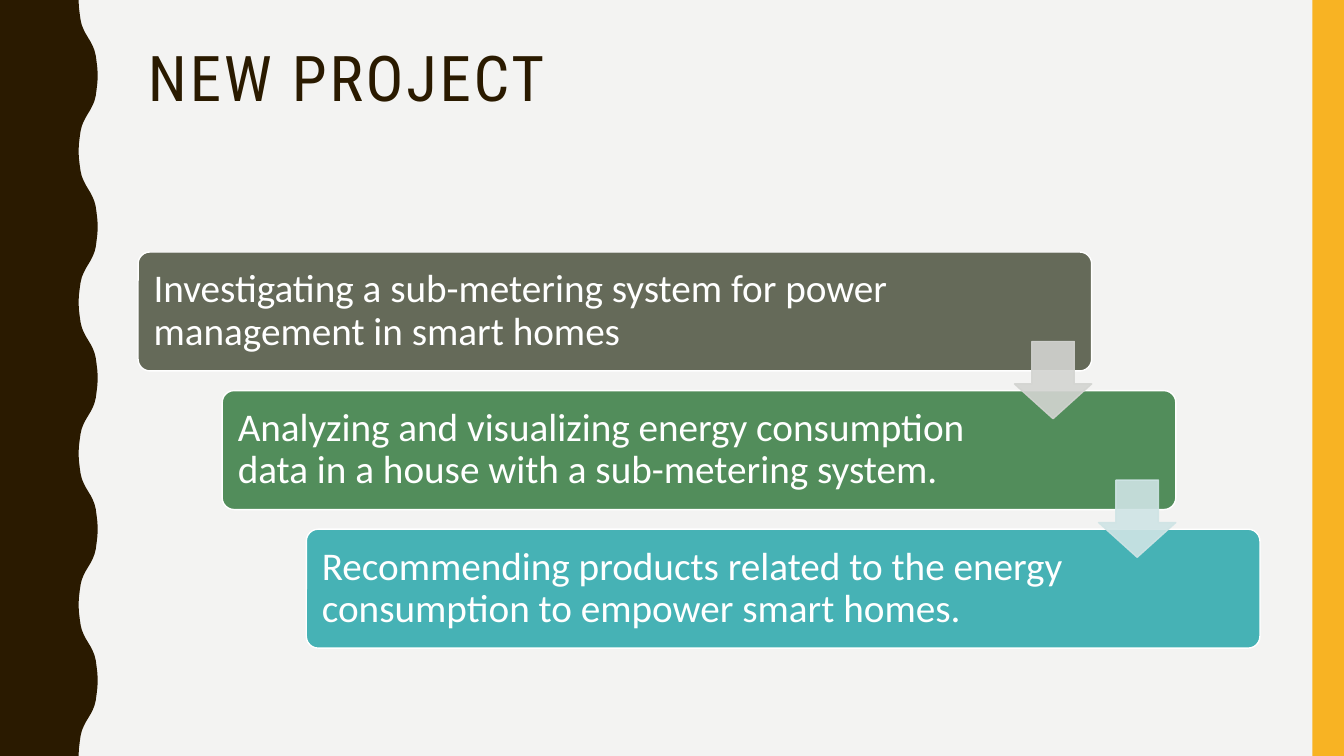
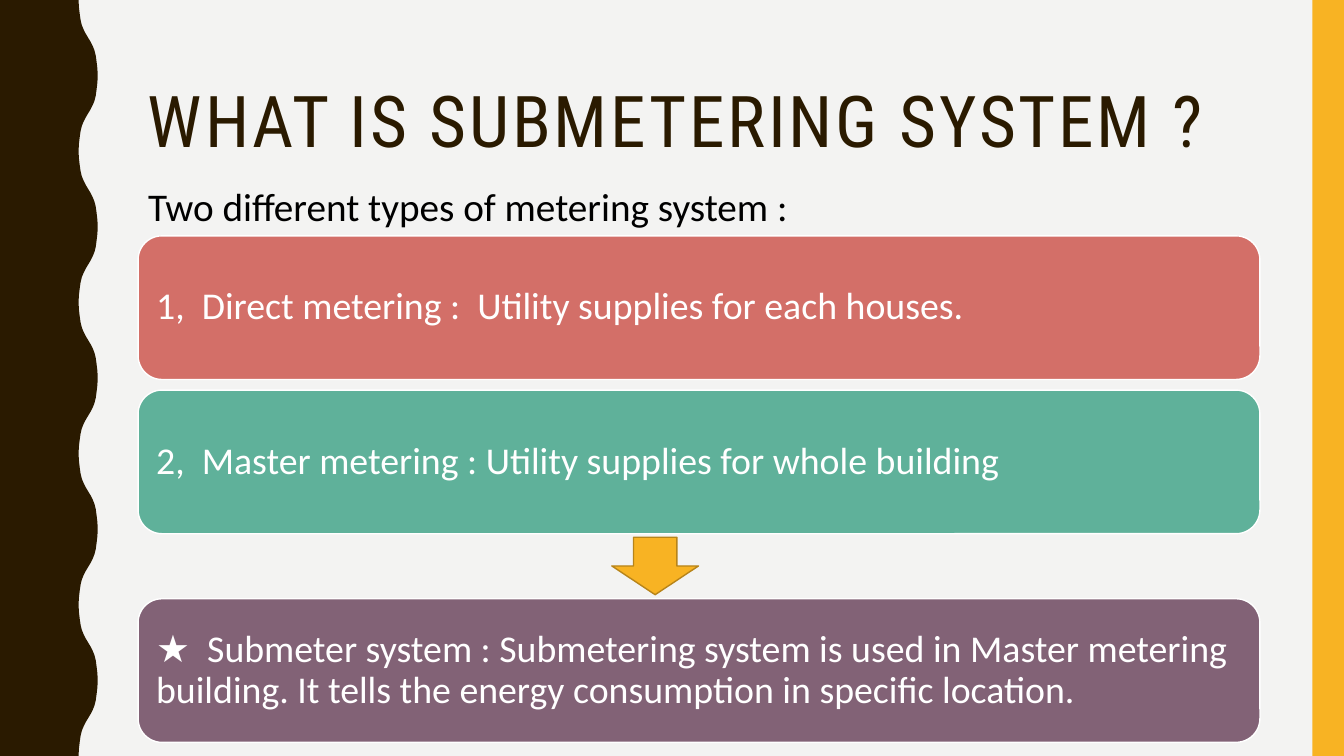
import pptx
import pptx.dml.color
import pptx.enum.shapes
import pptx.enum.text
import pptx.oxml.ns
import pptx.util
from lxml import etree

SHAPES = pptx.enum.shapes.MSO_SHAPE
ANCHOR = pptx.enum.text.MSO_ANCHOR
COLUMNS, ROWS = 160, 90
LEFT, RIGHT = 16.44, 150
CONTENT_WIDTH = RIGHT - LEFT

COLORS = {
    "background": "F3F3F2", "dark": "2A1A00", "accent": "F8B323",
    "accent_edge": "B7841A", "white": "FFFFFF", "black": "000000",
    "olive": "656A59", "green": "528D5B", "teal": "46B2B5",
    "pale_olive": "D3D4D1", "pale_teal": "CFE4E5",
    "coral": "D36F68", "mint": "5FB19A", "plum": "826276",
}


def set_attributes(target, values):
    for name, value in values.items():
        setattr(target, name, value)


def wave_edge():
    """Return (column, row) points of the wavy edge, mirrored from a quarter wave."""
    quarter = [(9.36, 0), (9.4, 0.84), (9.5, 1.68), (9.6, 2.4), (9.75, 3),
               (9.95, 3.5), (10.2, 4), (10.5, 4.5)]
    half = quarter + [(21 - x, 9 - y) for x, y in reversed(quarter[:-1])]
    wave = half + [(x, 18 - y) for x, y in reversed(half[1:-1])]
    points = [(x, y + top) for top in range(0, ROWS, 18) for x, y in wave]
    return points + [(quarter[0][0], ROWS)]


class Deck:
    """Holds the style and the current slide; lengths are grid columns and rows."""

    def __init__(self):
        self.presentation = pptx.Presentation()
        height = pptx.util.Inches(7.5)
        set_attributes(self.presentation, {
            "slide_width": height * 16 // 9, "slide_height": height})
        self.column = self.presentation.slide_width / COLUMNS
        self.row = height / ROWS
        self.slide = None

    def color(self, name):
        return pptx.dml.color.RGBColor.from_string(COLORS[name])

    def place(self, left, top, width, height):
        return [round(length * unit) for length, unit in zip(
            (left, top, width, height), (self.column, self.row) * 2)]

    def paint(self, shape, fill, line=None, opacity=100):
        shape.shadow.inherit = False
        shape.fill.solid()
        shape.fill.fore_color.rgb = self.color(fill)
        if line:
            shape.line.color.rgb = self.color(line)
            shape.line.width = pptx.util.Pt(1)
        else:
            shape.line.fill.background()
        if opacity < 100:
            for color in shape._element.spPr.iter(pptx.oxml.ns.qn("a:srgbClr")):
                alpha = etree.SubElement(color, pptx.oxml.ns.qn("a:alpha"))
                alpha.set("val", str(opacity * 1000))

    def add_text(self, shape, text, size, color, font="Calibri", spacing=0.9,
                 **frame_values):
        frame = shape.text_frame
        set_attributes(frame, {"word_wrap": True, **frame_values})
        paragraph = frame.paragraphs[0]
        set_attributes(paragraph, {
            "alignment": pptx.enum.text.PP_ALIGN.LEFT, "line_spacing": spacing})
        run = paragraph.add_run()
        run.text = text
        set_attributes(run.font, {"name": font, "size": pptx.util.Pt(size)})
        run.font.color.rgb = self.color(color)
        return run

    def add_slide(self, title, size, anchor):
        self.slide = self.presentation.slides.add_slide(
            self.presentation.slide_layouts[6])
        background = self.slide.background.fill
        background.solid()
        background.fore_color.rgb = self.color("background")
        self.add_wave()
        self.add_shape(SHAPES.RECTANGLE, (156.24, 0, 3.76, ROWS), "accent")
        self.add_title(title, size, anchor)

    def add_wave(self):
        builder = self.slide.shapes.build_freeform(0, 0)
        points = wave_edge() + [(0, ROWS)]
        builder.add_line_segments(
            [(round(x * self.column), round(y * self.row)) for x, y in points])
        self.paint(builder.convert_to_shape(), "dark")

    def add_title(self, text, size, anchor):
        box = self.slide.shapes.add_textbox(
            *self.place(LEFT, 5.04, CONTENT_WIDTH, 19.56))
        run = self.add_text(box, text, size, "dark", "Roboto Condensed",
                            vertical_anchor=anchor)
        run._r.get_or_add_rPr().set("spc", "200")

    def add_caption(self, text, place):
        box = self.slide.shapes.add_textbox(*self.place(*place))
        self.add_text(box, text, 28, "black", spacing=1.0, word_wrap=False)

    def add_shape(self, kind, place, fill, line=None, opacity=100, adjustments=()):
        shape = self.slide.shapes.add_shape(kind, *self.place(*place))
        for index, value in enumerate(adjustments):
            shape.adjustments[index] = value
        self.paint(shape, fill, line, opacity)
        return shape

    def add_card(self, text, place, fill, size, inset, right_inset=None, adjustments=()):
        card = self.add_shape(SHAPES.ROUNDED_RECTANGLE, place, fill, "white",
                              adjustments=adjustments)
        margin = pptx.util.Inches(inset)
        self.add_text(card, text, size, "white", vertical_anchor=ANCHOR.MIDDLE,
                      margin_left=margin, margin_top=margin, margin_bottom=margin,
                      margin_right=pptx.util.Inches(right_inset or inset))

    def add_arrow(self, place, fill, line, opacity=100, adjustments=()):
        self.add_shape(SHAPES.DOWN_ARROW, place, fill, line, opacity, adjustments)


def build_project_slide(deck):
    deck.add_slide("NEW PROJECT", 45, ANCHOR.TOP)
    steps = [
        ("Investigating a sub-metering system for power management in smart homes",
         "olive"),
        ("Analyzing and visualizing energy consumption data in a house with a "
         "sub-metering system.", "green"),
        ("Recommending products related to the energy consumption to empower "
         "smart homes.", "teal"),
    ]
    top, pitch, height = 30, 16.5, 14.16
    width = CONTENT_WIDTH * 0.85
    shift = (CONTENT_WIDTH - width) / (len(steps) - 1)
    for index, (text, fill) in enumerate(steps):
        deck.add_card(text, (LEFT + index * shift, top + index * pitch, width, height),
                      fill, 28, 0.12, 1.71, adjustments=(0.1,))
    arrow = 9.2
    for index, fill in enumerate(("pale_olive", "pale_teal")):
        place = (LEFT + index * shift + width - arrow,
                 top + index * pitch + 10.65, arrow, arrow)
        deck.add_arrow(place, fill, fill, 90, (0.55, 0.45))


def build_submetering_slide(deck):
    deck.add_slide("WHAT IS SUBMETERING SYSTEM ?", 51, ANCHOR.MIDDLE)
    cards = [
        ("1,  Direct metering :  Utility supplies for each houses.", 28.08, "coral"),
        ("2,  Master metering : Utility supplies for whole building", 46.44, "mint"),
        ("★  Submeter system : Submetering system is used in Master metering "
         "building. It tells the energy consumption in specific location.",
         71.28, "plum"),
    ]
    for text, top, fill in cards:
        deck.add_card(text, (LEFT, top, CONTENT_WIDTH, 17.1), fill, 27, 0.11)
    deck.add_caption("Two different types of metering system :",
                     (LEFT, 21.12, 80, 6.84))
    deck.add_arrow((72.84, 63.96, 10.32, 6.84), "accent", "accent_edge")


def main():
    deck = Deck()
    build_project_slide(deck)
    build_submetering_slide(deck)
    deck.presentation.save("out.pptx")


if __name__ == "__main__":
    main()
